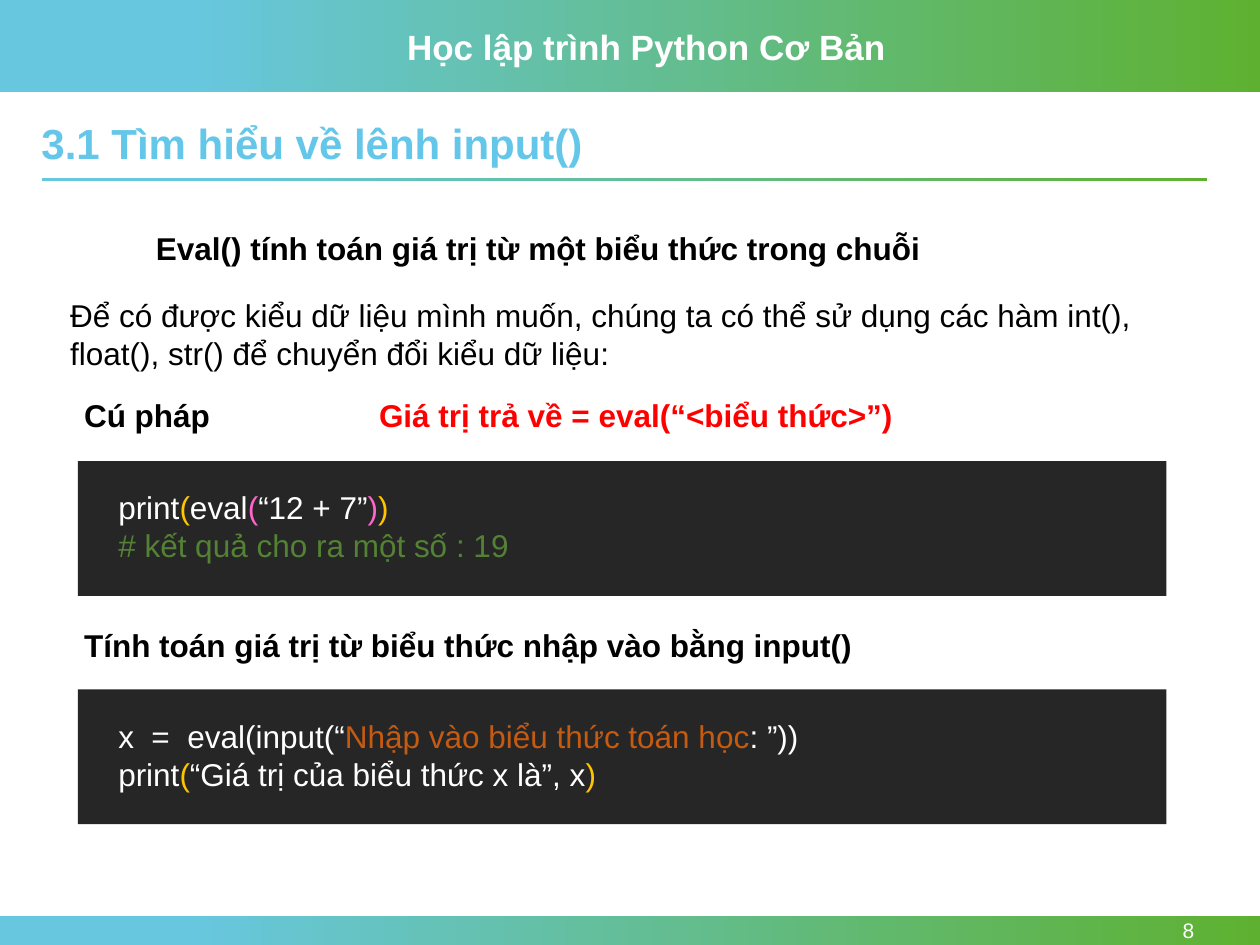
from pptx import Presentation
from pptx.dml.color import RGBColor as Rgb
from pptx.enum.shapes import MSO_SHAPE as Shape
from pptx.enum.text import MSO_ANCHOR as Anchor, PP_ALIGN as Align
from pptx.util import Pt

COLORS = {
    "sky": "67C7DF", "leaf": "5EB130", "title": "64C7E9", "white": "FFFFFF",
    "black": "000000", "panel": "262626", "yellow": "FFC500", "pink": "FF66CC",
    "comment": "548235", "string": "C55A11", "red": "FF0000",
}


def rgb(name):
    """Return the named colour."""
    return Rgb.from_string(COLORS[name])


def write_text(box, lines, size=18, color="black", bold=False,
               align=Align.LEFT, anchor=Anchor.TOP, spacing=None):
    """Fill a box with lines, each a string or a list of (text, colour) spans."""
    frame = box.text_frame
    frame.word_wrap = True
    frame.vertical_anchor = anchor
    for index, line in enumerate(lines):
        para = frame.add_paragraph() if index else frame.paragraphs[0]
        para.alignment = align
        para.space_before = Pt(0)
        para.line_spacing = spacing
        spans = [(line, color)] if isinstance(line, str) else line
        for text, span_color in spans:
            span = para.add_run()
            span.text = text
            span.font.name = "Arial"
            span.font.size = Pt(size)
            span.font.bold = bold
            span.font.color.rgb = rgb(span_color)


def add_text(page, left, top, width, height, lines, **style):
    """Add a text box with formatted lines."""
    box = page.shapes.add_textbox(Pt(left), Pt(top), Pt(width), Pt(height))
    write_text(box, lines, **style)


def add_block(page, left, top, width, height):
    """Add a rectangle without line or shadow."""
    block = page.shapes.add_shape(
        Shape.RECTANGLE, Pt(left), Pt(top), Pt(width), Pt(height))
    block.line.fill.background()
    block.shadow.inherit = False
    return block


def add_gradient_bar(page, left, top, width, height):
    """Add a bar that fades from sky to leaf."""
    fill = add_block(page, left, top, width, height).fill
    fill.gradient()
    fill.gradient_angle = 0
    stops = ((0.15, "sky"), (1, "leaf"))
    for stop, (position, color) in zip(fill.gradient_stops, stops):
        stop.position = position
        stop.color.rgb = rgb(color)


def add_code(page, top, lines):
    """Add a dark panel with code on it."""
    panel = add_block(page, 44.5, top, 622, 77)
    panel.fill.solid()
    panel.fill.fore_color.rgb = rgb("panel")
    add_text(page, 60.5, top + 12, 578, 51, lines)


def add_title(page, text):
    """Place and format the title placeholder."""
    title = page.shapes.title
    title.left, title.top, title.width, title.height = map(Pt, (16.5, 67, 666, 33))
    write_text(title, [text], size=24, color="title", bold=True,
               anchor=Anchor.MIDDLE, spacing=0.9)


def main():
    """Build the slide and save it."""
    deck = Presentation()
    deck.slide_width, deck.slide_height = Pt(720), Pt(540)
    page = deck.slides.add_slide(deck.slide_layouts[5])

    add_gradient_bar(page, 0, 0, 720, 52.5)
    add_gradient_bar(page, 0, 523.5, 720, 16.5)
    add_gradient_bar(page, 24, 101.5, 666, 2)
    add_text(page, 225.5, 11, 292, 31.5, ["Học lập trình Python Cơ Bản"],
             size=20, color="white", bold=True)
    add_text(page, 623.5, 523.5, 66, 16.5, ["8"], size=12, color="white",
             align=Align.RIGHT, anchor=Anchor.MIDDLE)
    add_title(page, "3.1 Tìm hiểu về lênh input()")

    add_text(page, 82, 127.5, 556.5, 29,
             ["Eval() tính toán giá trị từ một biểu thức trong chuỗi"], bold=True)
    add_text(page, 33, 165.5, 633, 51,
             ["Để có được kiểu dữ liệu mình muốn, chúng ta có thể sử dụng các hàm "
              "int(), float(), str() để chuyển đổi kiểu dữ liệu:"])
    add_text(page, 41, 223, 132.5, 29, ["Cú pháp"], bold=True)
    add_text(page, 209.5, 223, 351, 29,
             ["Giá trị trả về = eval(“<biểu thức>”)"], color="red", bold=True)
    add_code(page, 263.5, [
        [("print", "white"), ("(", "yellow"), ("eval", "white"), ("(", "pink"),
         ("“12 + 7”", "white"), (")", "pink"), (")", "yellow")],
        [("# kết quả cho ra một số : 19", "comment")],
    ])
    add_text(page, 41, 354, 582.5, 29,
             ["Tính toán giá trị từ biểu thức nhập vào bằng input()"], bold=True)
    add_code(page, 394, [
        [("x  =  eval(input(“", "white"),
         ("Nhập vào biểu thức toán học", "string"), (": ”))", "white")],
        [("print", "white"), ("(", "yellow"),
         ("“Giá trị của biểu thức x là”, x", "white"), (")", "yellow")],
    ])
    deck.save("out.pptx")


if __name__ == "__main__":
    main()
